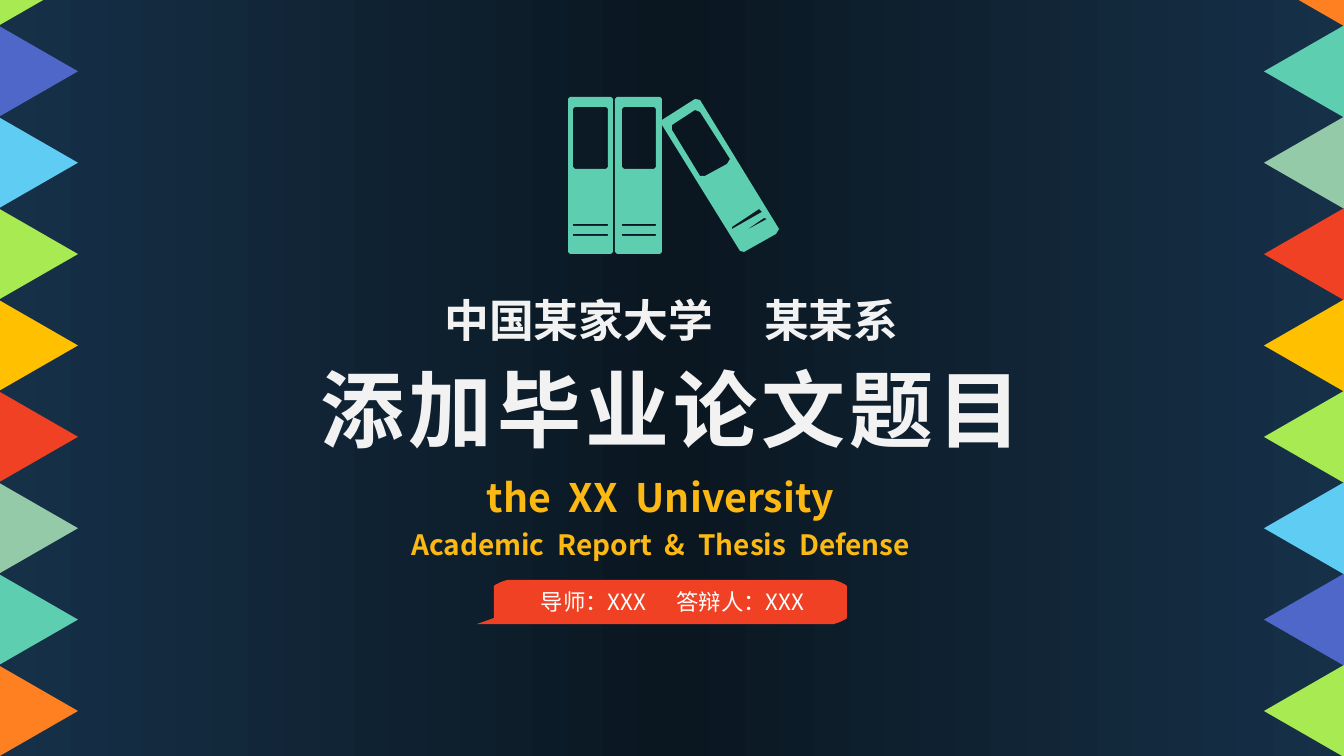
import math

import lxml.etree
import pptx
import pptx.dml.color
import pptx.enum.shapes
import pptx.enum.text
import pptx.oxml.ns
import pptx.util

WIDTH, HEIGHT = 1344, 756
SCALE = 12192000 / WIDTH
FONT = "Noto Sans CJK SC"
SPACE_WIDTH = 0.225
NAVY, INK = "163048", "0A1721"
LIGHT, GOLD, WHITE = "F2F2F2", "FCB813", "FFFFFF"
ORANGE, TEAL, SAGE, RED = "FF8021", "5DCEAF", "94CAA8", "F14124"
YELLOW, LIME, SKY, BLUE = "FFC000", "A7EA52", "5ECCF3", "4E67C8"
LEFT_TEETH = [LIME, BLUE, SKY, LIME, YELLOW, RED, SAGE, TEAL, ORANGE]
RIGHT_TEETH = [ORANGE, TEAL, SAGE, RED, YELLOW, LIME, SKY, BLUE, LIME]


def emu(pixels):
    return pptx.util.Emu(round(pixels * SCALE))


def rgb(value):
    return pptx.dml.color.RGBColor.from_string(value)


def paint(shape, color):
    shape.shadow.inherit = False
    shape.fill.solid()
    shape.fill.fore_color.rgb = rgb(color)
    shape.line.fill.background()


def add_preset(page, kind, left, top, width, height):
    return page.shapes.add_shape(kind, emu(left), emu(top), emu(width), emu(height))


def add_outline(page, contours, left, top, color):
    placed = [[(left + x, top + y) for x, y in contour] for contour in contours]
    builder = page.shapes.build_freeform(*placed[0][0], scale=SCALE)
    for contour in placed:
        builder.move_to(*contour[0])
        builder.add_line_segments(contour[1:], close=True)
    paint(builder.convert_to_shape(), color)


def add_background(page, left, top, width, height, colors):
    panel = add_preset(page, pptx.enum.shapes.MSO_SHAPE.RECTANGLE, left, top, width, height)
    panel.shadow.inherit = False
    panel.line.fill.background()
    panel.fill.gradient()
    panel.fill.gradient_angle = 0
    for stop, color in zip(panel.fill.gradient_stops, colors):
        stop.color.rgb = rgb(color)


def add_teeth(page, left, top, depth, height, colors, rotation):
    pitch = height / (len(colors) - 1)
    base = 92
    for index, color in enumerate(colors):
        middle = top + index * pitch
        tooth = add_preset(
            page, pptx.enum.shapes.MSO_SHAPE.ISOSCELES_TRIANGLE,
            left + (depth - base) / 2, middle - depth / 2, base, depth)
        tooth.rotation = rotation
        paint(tooth, color)


def cut_rectangle(left, top, right, bottom, cut):
    return [
        (left + cut, top), (right - cut, top), (right, top + cut), (right, bottom - cut),
        (right - cut, bottom), (left + cut, bottom), (left, bottom - cut), (left, top + cut)]


def upright_book(left, right, window_left, window_right):
    return [
        cut_rectangle(left, 0, right, 157, 2),
        cut_rectangle(window_left, 10, window_right, 72, 2),
        cut_rectangle(window_left, 127, window_right, 129, 0),
        cut_rectangle(window_left, 137, window_right, 139, 0)]


def add_books(page, left, top):
    leaning_book = [
        [(211, 132), (132, 3), (127, 2), (94, 23), (94, 28), (172, 154), (176, 155), (208, 137)],
        [(159, 67), (137, 79), (132, 79), (104, 33), (104, 28), (127, 13), (132, 15), (162, 62)],
        [(164, 132), (164, 130), (191, 112), (194, 115)],
        [(199, 122), (177, 134), (196, 121)]]
    contours = upright_book(0, 45, 5, 40) + upright_book(47, 94, 54, 88) + leaning_book
    add_outline(page, contours, left, top, TEAL)


def add_banner(page, left, top, width, height):
    tail, radius_x, radius_y = 17, 20, 7

    def corner(center_x, center_y, start):
        angles = [math.radians(start + step * 10) for step in range(10)]
        return [(center_x + radius_x * math.cos(angle), center_y + radius_y * math.sin(angle))
                for angle in angles]

    outline = corner(tail + radius_x, radius_y, 180)
    outline += corner(width - radius_x, radius_y, 270)
    outline += corner(width - radius_x, height - radius_y, 0)
    outline += [(0, height), (tail, height - 6)]
    add_outline(page, [outline], left, top, RED)


def add_line(para, text, size, color, bold=False, spaces=1, tracking=0):
    for index, word in enumerate(text.split(" ")):
        if index:
            space = para.add_run()
            space.text = " "
            extra = round((spaces - 1) * SPACE_WIDTH * size * 100)
            space.font._element.set("spc", str(extra))
        para.add_run().text = word
    para.alignment = pptx.enum.text.PP_ALIGN.CENTER
    para.font.size = pptx.util.Pt(size)
    para.font.bold = bold
    para.font.color.rgb = rgb(color)
    para.font.name = FONT
    defaults = para._p.pPr.find(pptx.oxml.ns.qn("a:defRPr"))
    if tracking:
        defaults.set("spc", str(tracking * 100))
    east_asian = lxml.etree.SubElement(defaults, pptx.oxml.ns.qn("a:ea"))
    east_asian.set("typeface", FONT)


def add_text(page, left, top, width, height, wrap=True):
    box = page.shapes.add_textbox(emu(left), emu(top), emu(width), emu(height))
    box.text_frame.word_wrap = wrap
    box.text_frame.auto_size = pptx.enum.text.MSO_AUTO_SIZE.SHAPE_TO_FIT_TEXT
    return box.text_frame


def add_titles(page, left, top, width):
    school = add_text(page, left, top, width, 65, wrap=False)
    add_line(school.paragraphs[0], "中国某家大学 某某系", 32, LIGHT, bold=True, spaces=5)
    title = add_text(page, left, top + 65, width, 112, wrap=False)
    add_line(title.paragraphs[0], "添加毕业论文题目", 60, LIGHT, bold=True, tracking=3)
    english = add_text(page, left - 4, top + 171, width, 105)
    first, second = english.paragraphs[0], english.add_paragraph()
    first._p.get_or_add_pPr().set("marR", str(emu(14)))
    add_line(first, "the XX University", 28, GOLD, bold=True, spaces=2)
    add_line(second, "Academic Report & Thesis Defense", 20, GOLD, bold=True, spaces=2)
    for para in english.paragraphs:
        para.line_spacing = 1.2


def add_names(page, left, top, width, height):
    add_banner(page, left, top, width, height)
    names = add_text(page, left - 5, top + 3, 401, 37)
    add_line(names.paragraphs[0], "导师：XXX 答辩人：XXX", 16, WHITE, spaces=6)


def add_cover(deck):
    page = deck.slides.add_slide(deck.slide_layouts[6])
    middle = 674
    add_background(page, middle, 0, WIDTH - middle, HEIGHT, [INK, NAVY])
    add_background(page, 0, 0, middle, HEIGHT, [NAVY, INK])
    add_titles(page, 305, 288, 733)
    add_teeth(page, 1264, -20, 80, 731, RIGHT_TEETH, 270)
    add_teeth(page, -2, -20, 80, 731, LEFT_TEETH, 90)
    add_books(page, 568, 97)
    add_names(page, 477, 580, 370, 44)


def main():
    deck = pptx.Presentation()
    deck.slide_width, deck.slide_height = emu(WIDTH), emu(HEIGHT)
    add_cover(deck)
    deck.save("out.pptx")


if __name__ == "__main__":
    main()
